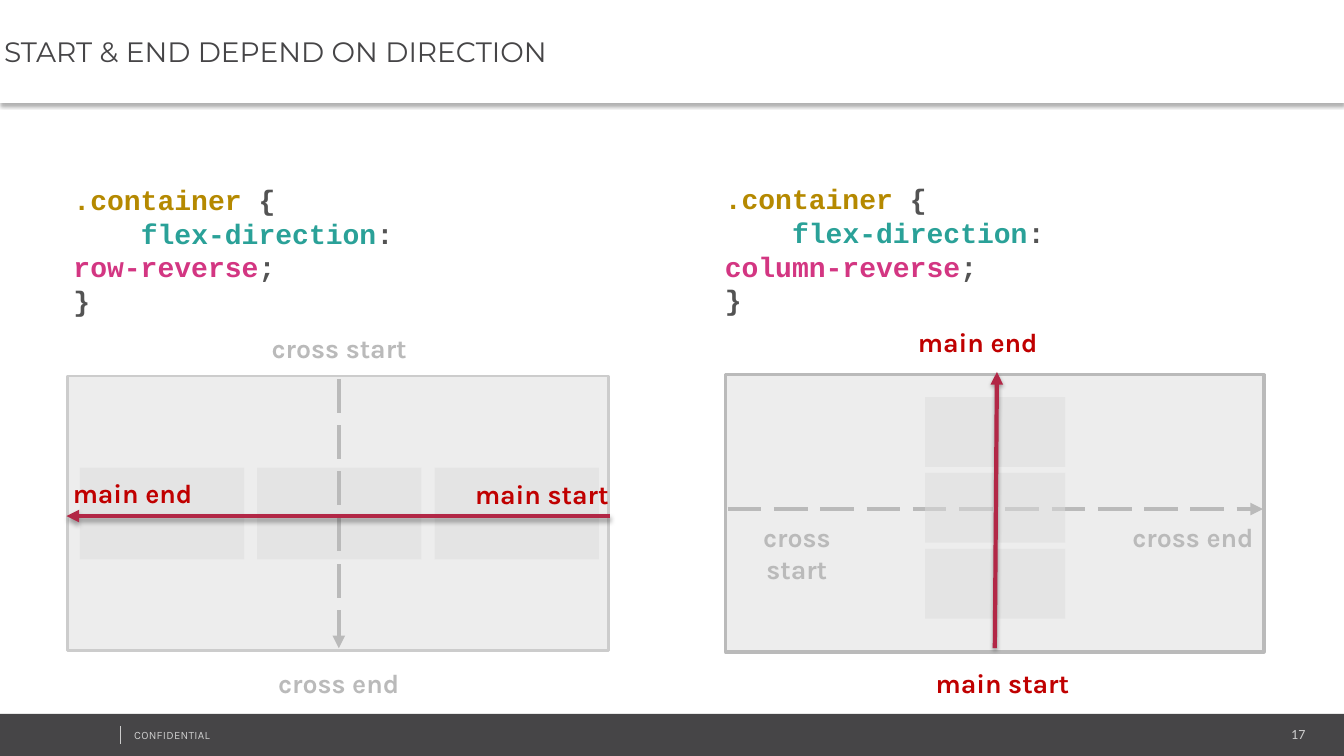
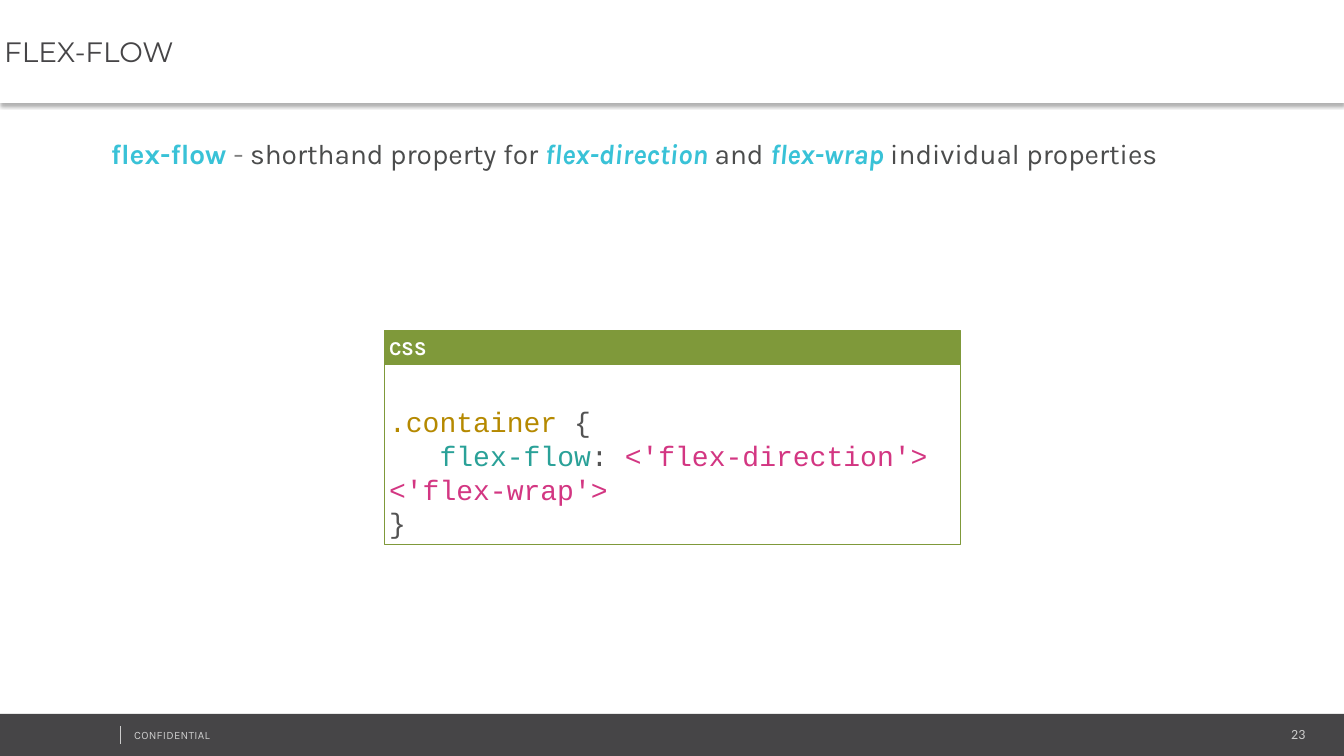
import lxml.etree
import pptx
import pptx.dml.color
import pptx.enum.dml
import pptx.enum.shapes
import pptx.enum.text
import pptx.oxml.ns
import pptx.util

Pt = pptx.util.Pt
rgb = pptx.dml.color.RGBColor.from_string
qn = pptx.oxml.ns.qn
SubElement = lxml.etree.SubElement
ALIGN = pptx.enum.text.PP_ALIGN
ANCHOR = pptx.enum.text.MSO_ANCHOR
SOLID = pptx.enum.dml.MSO_LINE.SOLID
LONG_DASH = pptx.enum.dml.MSO_LINE.LONG_DASH
STRAIGHT = pptx.enum.shapes.MSO_CONNECTOR.STRAIGHT

CHARCOAL = "464547"
WHITE = "FFFFFF"
FOOTER_GREY = "CCCCCC"
AXIS_GREY = "BABABA"
PANEL = "EDEDED"
ITEM = "DDDDDD"
MAIN_AXIS = "B22746"
MAIN_LABEL = "C00000"
GREEN = "7F993A"
CYAN = "39C2D7"
BODY = "4B4C4C"
SELECTOR, PUNCTUATION, PROPERTY, VALUE = "B58900", "535353", "2AA198", "D33682"


def write(shape, lines, size, font="Karla", bold=False, align=ALIGN.LEFT,
          anchor=ANCHOR.TOP, inset=3.6, wrap=True, spacing=None):
    """Fill a shape with lines of runs: (text, colour[, bold, italic])."""
    frame = shape.text_frame
    frame.word_wrap = wrap
    frame.auto_size = pptx.enum.text.MSO_AUTO_SIZE.NONE
    frame.vertical_anchor = anchor
    frame.margin_left = frame.margin_right = Pt(inset)
    frame.margin_top = frame.margin_bottom = Pt(inset)
    for number, line in enumerate(lines):
        paragraph = frame.add_paragraph() if number else frame.paragraphs[0]
        paragraph.alignment = align
        if spacing:
            paragraph.line_spacing = Pt(spacing)
        for text, colour, *emphasis in line:
            run = paragraph.add_run()
            run.text = text
            run.font.name = font
            run.font.size = Pt(size)
            run.font.color.rgb = rgb(colour)
            run.font.bold, run.font.italic = emphasis or (bold, False)


def add_box(slide, bounds, fill, outline=None, weight=0, opacity=100):
    box = slide.shapes.add_shape(pptx.enum.shapes.MSO_SHAPE.RECTANGLE, *map(Pt, bounds))
    box.shadow.inherit = False
    box.fill.solid()
    box.fill.fore_color.rgb = rgb(fill)
    if opacity < 100:
        colour = box.element.spPr.find(qn("a:solidFill"))[0]
        SubElement(colour, qn("a:alpha"), val=str(opacity * 1000))
    if outline:
        box.line.color.rgb = rgb(outline)
        box.line.width = Pt(weight)
    else:
        box.line.fill.background()
    return box


deck = pptx.Presentation()
deck.slide_width, deck.slide_height = Pt(960), Pt(540)
shadowed = []  # (shape, opacity in percent, distance in points)

# Titles and page numbers
slides = []
for heading, page in (("START & END DEPEND ON DIRECTION", "17"), ("FLEX-FLOW", "23")):
    slide = deck.slides.add_slide(deck.slide_layouts[5])
    slides.append(slide)
    title = slide.shapes.title
    title.left, title.top, title.width, title.height = map(Pt, (0, 0, 960, 73.5))
    title.fill.solid()
    title.fill.fore_color.rgb = rgb(WHITE)
    title.shadow.inherit = False
    write(title, [[(heading, CHARCOAL)]], 20, "Montserrat", anchor=ANCHOR.MIDDLE, inset=2.9)
    shadowed.append((title, 30, 2))
    page_number = slide.shapes.add_textbox(*map(Pt, (917.3, 514.8, 18.7, 18)))
    write(page_number, [[(page, FOOTER_GREY)]], 10, "Calibri", align=ALIGN.RIGHT, wrap=False)
direction, flow = slides

# Footer, moved to the master so that every slide shows it
band = add_box(direction, (0, 510, 960, 30), CHARCOAL)
notice = direction.shapes.add_textbox(*map(Pt, (92.2, 517, 243, 17.3)))
write(notice, [[("CONFIDENTIAL", FOOTER_GREY)]], 8)
notice.text_frame.paragraphs[0].runs[0].font._element.set("spc", "20")
divider = direction.shapes.add_connector(STRAIGHT, *map(Pt, (85.7, 518.4, 85.7, 531.4)))
divider.line.color.rgb = rgb(FOOTER_GREY)
divider.line.width = Pt(0.25)
SubElement(divider.element.spPr, qn("a:effectLst"))
for part in (band, notice, divider):
    deck.slide_master.shapes.element.append(part.element)

# Flex containers, items and axes, from back to front
containers_and_row = [
    ((48.2, 268.6, 386.6, 195.8), PANEL, "CCCCCC", 2),
    ((518.4, 267.8, 384.5, 198), PANEL, AXIS_GREY, 2.25),
    *[((57 + 126.7 * i, 334, 117.4, 65.5), ITEM, None, 0, 50) for i in range(3)],
]
column = [((660.8, 283.6 + 54.2 * i, 100, 49.9), ITEM, None, 0, 50) for i in range(3)]
cross_axes = [(242, 270.7, 242, 463), (519.8, 363.6, 902.2, 363.6)]
main_axes = [(435.6, 368.6, 47.5, 368.6), (710.6, 463, 712.1, 265.7)]
for boxes, axes, colour, dash in (
    (containers_and_row, cross_axes, AXIS_GREY, LONG_DASH),
    (column, main_axes, MAIN_AXIS, SOLID),
):
    for box in boxes:
        add_box(direction, *box)
    for ends in axes:
        axis = direction.shapes.add_connector(STRAIGHT, *map(Pt, ends))
        axis.line.color.rgb = rgb(colour)
        axis.line.width = Pt(3)
        axis.line.dash_style = dash
        properties = axis.element.spPr
        SubElement(properties.find(qn("a:ln")), qn("a:tailEnd"), type="triangle")
        SubElement(properties, qn("a:effectLst"))
        if axes is main_axes:
            shadowed.append((axis, 35, 1.8))

for label, left, top, width, colour in (
    ("main start", 331.2, 337.7, 111.6, MAIN_LABEL),
    ("main end", 46.8, 337, 95.8, MAIN_LABEL),
    ("cross start", 186.5, 233.3, 111.6, AXIS_GREY),
    ("cross end", 191.5, 473, 100.8, AXIS_GREY),
    ("cross start", 518.4, 368.6, 101.5, AXIS_GREY),
    ("cross end", 796.3, 368.6, 111.6, AXIS_GREY),
    ("main start", 660.2, 473, 111.6, MAIN_LABEL),
    ("main end", 648, 229, 100.8, MAIN_LABEL),
):
    axis_label = direction.shapes.add_textbox(Pt(left), Pt(top), Pt(width), Pt(35))
    write(axis_label, [[(label, colour)]], 19, bold=True, align=ALIGN.CENTER)

for value, left, top, width in (
    ("row-reverse", 48.9, 127, 255.6),
    ("column-reverse", 514.1, 126.3, 284.4),
):
    rule = direction.shapes.add_textbox(Pt(left), Pt(top), Pt(width), Pt(103.2))
    write(rule, [
        [(".container", SELECTOR), (" {", PUNCTUATION)],
        [("    ", PUNCTUATION), ("flex-direction", PROPERTY), (": ", PUNCTUATION),
         (value, VALUE), (";", PUNCTUATION)],
        [("}", PUNCTUATION)],
    ], 20, "Courier New", bold=True, spacing=24)

# Shorthand property
code = add_box(flow, (274.3, 260.6, 411.8, 128.2), WHITE, GREEN, 0.75)
write(code, [
    [(".container", SELECTOR), (" {", PUNCTUATION)],
    [("   ", PUNCTUATION), ("flex-flow", PROPERTY), (": ", PUNCTUATION),
     ("<'flex-direction'> <'flex-wrap'>", VALUE)],
    [("}", PUNCTUATION)],
], 20, "Courier New", spacing=24)
code.text_frame.margin_top = Pt(28.6)
language = add_box(flow, (274.3, 236.2, 411.8, 24.2), GREEN, GREEN, 0.75)
write(language, [[("CSS", WHITE)]], 14, bold=True)
definition = flow.shapes.add_textbox(*map(Pt, (75.6, 93.6, 809.3, 30.2)))
write(definition, [[
    ("flex-flow ", CYAN, True, False),
    ("- ", "808080"),
    ("shorthand property for ", BODY),
    ("flex-direction ", CYAN, True, True),
    ("and ", BODY),
    ("flex-wrap ", CYAN, True, True),
    ("individual properties", BODY),
]], 20)

for shape, opacity, distance in shadowed:
    effects = shape.element.spPr.find(qn("a:effectLst"))
    shadow = SubElement(effects, qn("a:outerShdw"), blurRad=str(Pt(3)),
                        dist=str(Pt(distance)), dir="5400000", rotWithShape="0")
    black = SubElement(shadow, qn("a:srgbClr"), val="000000")
    SubElement(black, qn("a:alpha"), val=str(opacity * 1000))

deck.save("out.pptx")
